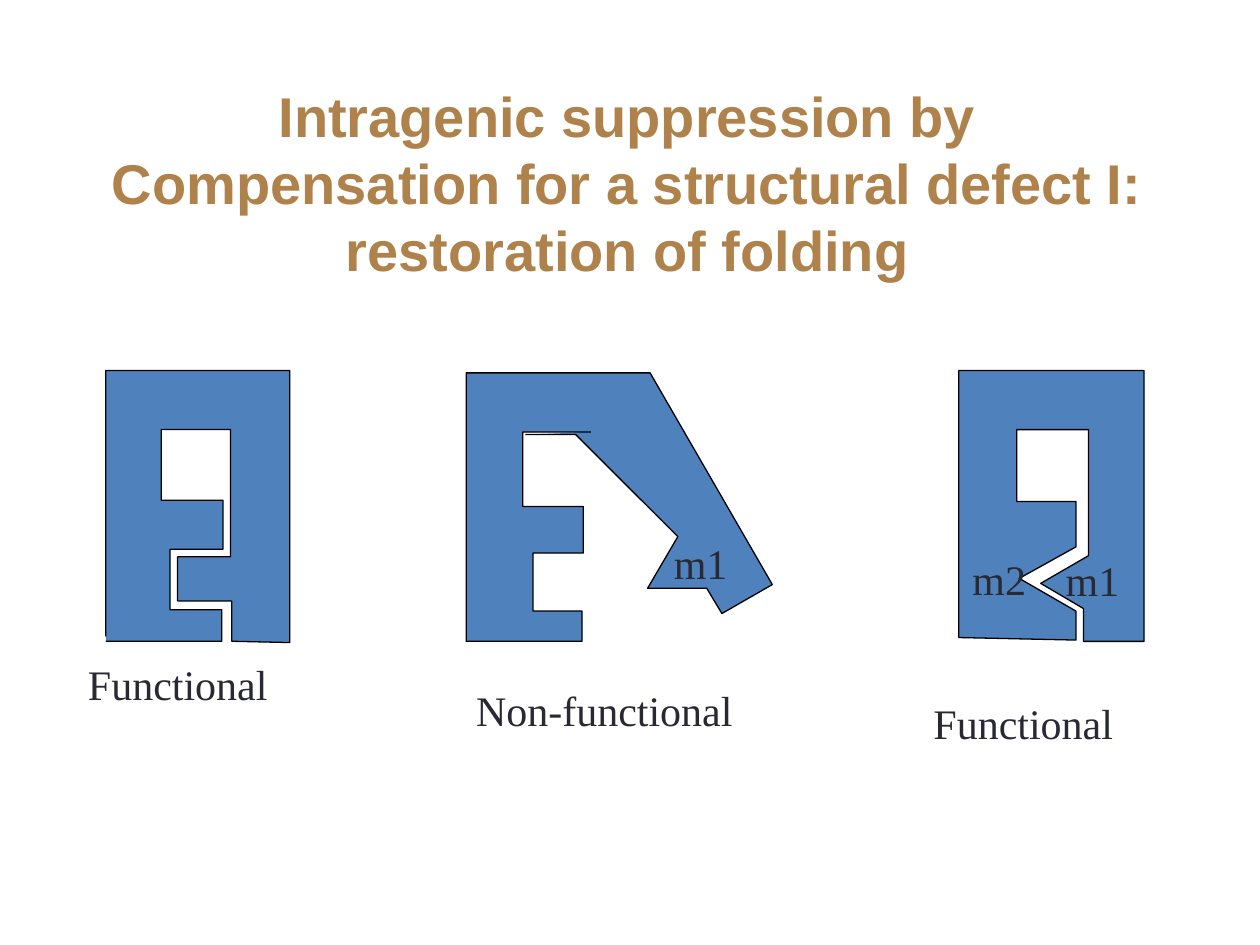
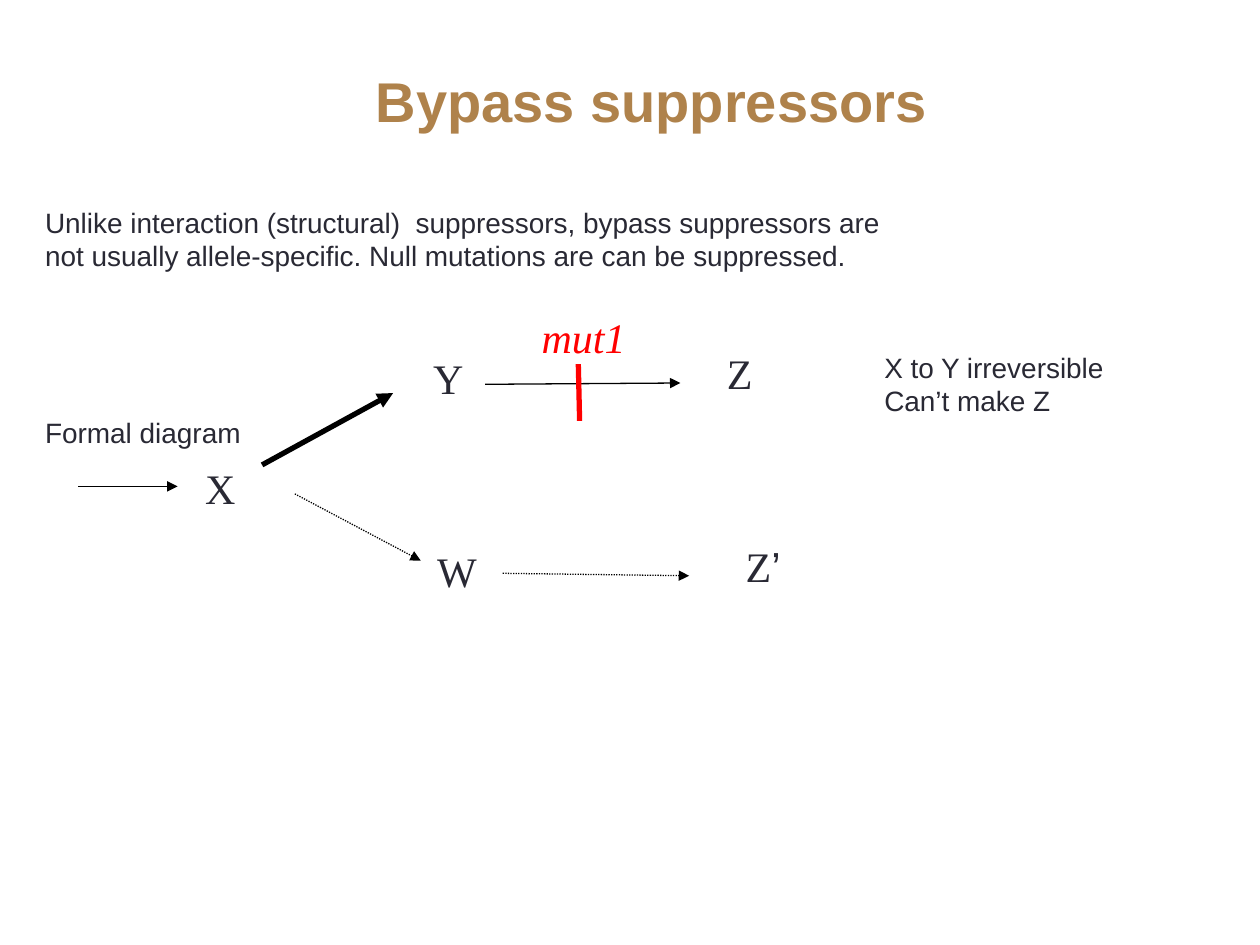
from pptx import Presentation
from pptx import util as u
from pptx.dml.color import RGBColor
from pptx.enum import dml, shapes, text
from pptx.oxml.ns import qn
from lxml import etree

# Shared style; every length below is in grid units of 1/100 inch
UNIT = u.Inches(0.01)
GOLD = RGBColor(0xAF, 0x82, 0x4B)
INK = RGBColor(0x29, 0x29, 0x34)
BLUE = RGBColor(0x4F, 0x81, 0xBD)
RED = RGBColor(0xFF, 0, 0)
BLACK = RGBColor(0, 0, 0)
SANS, SERIF = "Arial", "Times New Roman"
TITLE_SIZE = (850, 125)
LABEL_HEIGHT = 50
THIN, THICK = 0.75, 3

# Slide 1: protein outlines and their labels
FOLDING_TITLE = ("Intragenic suppression by\v"
                 "Compensation for a structural defect I: restoration of folding", 73, 82)
WILD_TYPE = [(84, 505), (84, 294), (230, 294), (230, 510), (184, 509), (184, 477),
             (141, 477), (141, 442), (183, 442), (183, 341), (128, 341), (128, 397),
             (177, 397), (177, 436), (135, 436), (135, 484), (176, 484), (176, 509),
             (84, 509)]
MISFOLDED = [(469, 343), (415, 343), (415, 402), (463, 402), (463, 439), (423, 439),
             (423, 485), (462, 485), (462, 509), (370, 509), (370, 296), (516, 296),
             (613, 464), (573, 487), (561, 467), (514, 467), (538, 426), (457, 345),
             (417, 345)]
SUPPRESSED = [(854, 508), (854, 485), (809, 459), (854, 434), (854, 398), (807, 398),
              (807, 341), (864, 341), (864, 441), (826, 463), (860, 483), (860, 509),
              (908, 509), (908, 294), (761, 294), (761, 506)]
PROTEINS = [(WILD_TYPE, False), (MISFOLDED, False), (SUPPRESSED, True)]
PROTEIN_LABELS = [  # wording, left, top, width
    ("Functional", 60, 518, 163), ("Non-functional", 368, 538, 224),
    ("Functional", 731, 549, 171),
    ("m1", 525, 422, 64), ("m1", 836, 435, 64), ("m2", 762, 434, 64)]

# Slide 2: pathway with a blocked branch and a bypass
BYPASS_TITLE = ("Bypass suppressors", 92, 17)
NOTES = [  # wording, left, top, width, height
    ("Unlike interaction (structural)  suppressors, bypass suppressors are\n"
     "not usually allele-specific. Null mutations are can be suppressed.", 26, 158, 690, 63),
    ("X to Y irreversible\nCan’t make Z", 692, 273, 194, 63),
    ("Formal diagram", 26, 325, 175, 36)]
METABOLITES = [("X", 153, 362, 44), ("Y", 334, 275, 44), ("Z", 567, 271, 40),
               ("W", 337, 428, 51)]
BYPASS_PRODUCT = ("Z’", 582, 424, 49)
MUTATION = ("mut1", 420, 242, 88)
STEPS = [  # start, end, weight, dotted
    ((62, 386), (141, 386), THIN, False),
    ((208, 369), (312, 312), THICK, False),
    ((385, 305), (540, 304), THIN, False),
    ((234, 392), (334, 445), THIN, True),
    ((399, 455), (547, 457), THIN, True)]
BLOCK = ((459, 289), (460, 334))


def grid(*lengths):
    return [length * UNIT for length in lengths]


def style(frame, size, font, color, bold=False, italic=False):
    for paragraph in frame.paragraphs:
        for run in paragraph.runs:
            run.font.size, run.font.name = u.Pt(size), font
            run.font.bold, run.font.italic = bold, italic
            run.font.color.rgb = color


def add_titled_slide(deck, wording, left, top):
    slide = deck.slides.add_slide(deck.slide_layouts[5])
    title = slide.shapes.title
    title.left, title.top, title.width, title.height = grid(left, top, *TITLE_SIZE)
    frame = title.text_frame
    frame.text = wording
    frame.auto_size = text.MSO_AUTO_SIZE.NONE
    frame.vertical_anchor = text.MSO_ANCHOR.MIDDLE
    for paragraph in frame.paragraphs:
        paragraph.alignment = text.PP_ALIGN.CENTER
    style(frame, 32, SANS, GOLD, bold=True)
    return slide


def add_label(slide, wording, left, top, width, height=LABEL_HEIGHT,
              size=24, font=SERIF, color=INK, italic=False):
    frame = slide.shapes.add_textbox(*grid(left, top, width, height)).text_frame
    frame.word_wrap = False
    frame.auto_size = text.MSO_AUTO_SIZE.SHAPE_TO_FIT_TEXT
    frame.text = wording
    style(frame, size, font, color, italic=italic)
    return frame


def add_protein(slide, outline, closed):
    builder = slide.shapes.build_freeform(*outline[0], scale=UNIT)
    builder.add_line_segments(outline[1:], close=closed)
    protein = builder.convert_to_shape()
    protein.shadow.inherit = False
    protein.fill.solid()
    protein.fill.fore_color.rgb = BLUE
    protein.line.color.rgb = BLACK
    protein.line.width = u.Pt(THIN)


def add_line(slide, start, end, weight, dotted=False, color=BLACK, arrow=True):
    step = slide.shapes.add_connector(shapes.MSO_CONNECTOR.STRAIGHT, *grid(*start, *end))
    step.line.color.rgb = color
    step.line.width = u.Pt(weight)
    if dotted:
        step.line.dash_style = dml.MSO_LINE.ROUND_DOT
    properties = step._element.spPr
    if arrow:
        etree.SubElement(properties.find(qn("a:ln")), qn("a:tailEnd"), type="triangle")
    etree.SubElement(properties, qn("a:effectLst"))


def build_folding(deck):
    slide = add_titled_slide(deck, *FOLDING_TITLE)
    for outline, closed in PROTEINS:
        add_protein(slide, outline, closed)
    for label in PROTEIN_LABELS:
        add_label(slide, *label)


def build_bypass(deck):
    slide = add_titled_slide(deck, *BYPASS_TITLE)
    for note in NOTES:
        add_label(slide, *note, size=16, font=SANS)
    for metabolite in METABOLITES:
        add_label(slide, *metabolite)

    # The prime mark is set in the sans font
    product = add_label(slide, *BYPASS_PRODUCT).paragraphs[0]
    product.runs[0].text = BYPASS_PRODUCT[0][0]
    prime = product.add_run()
    prime.text = BYPASS_PRODUCT[0][1]
    prime.font.size, prime.font.name = u.Pt(24), SANS
    prime.font.color.rgb = INK

    for step in STEPS:
        add_line(slide, *step)
    add_label(slide, *MUTATION, color=RED, italic=True)
    add_line(slide, *BLOCK, THICK, color=RED, arrow=False)


def main():
    deck = Presentation()
    deck.slide_width, deck.slide_height = grid(1000, 750)
    build_folding(deck)
    build_bypass(deck)
    deck.save("out.pptx")


if __name__ == "__main__":
    main()
